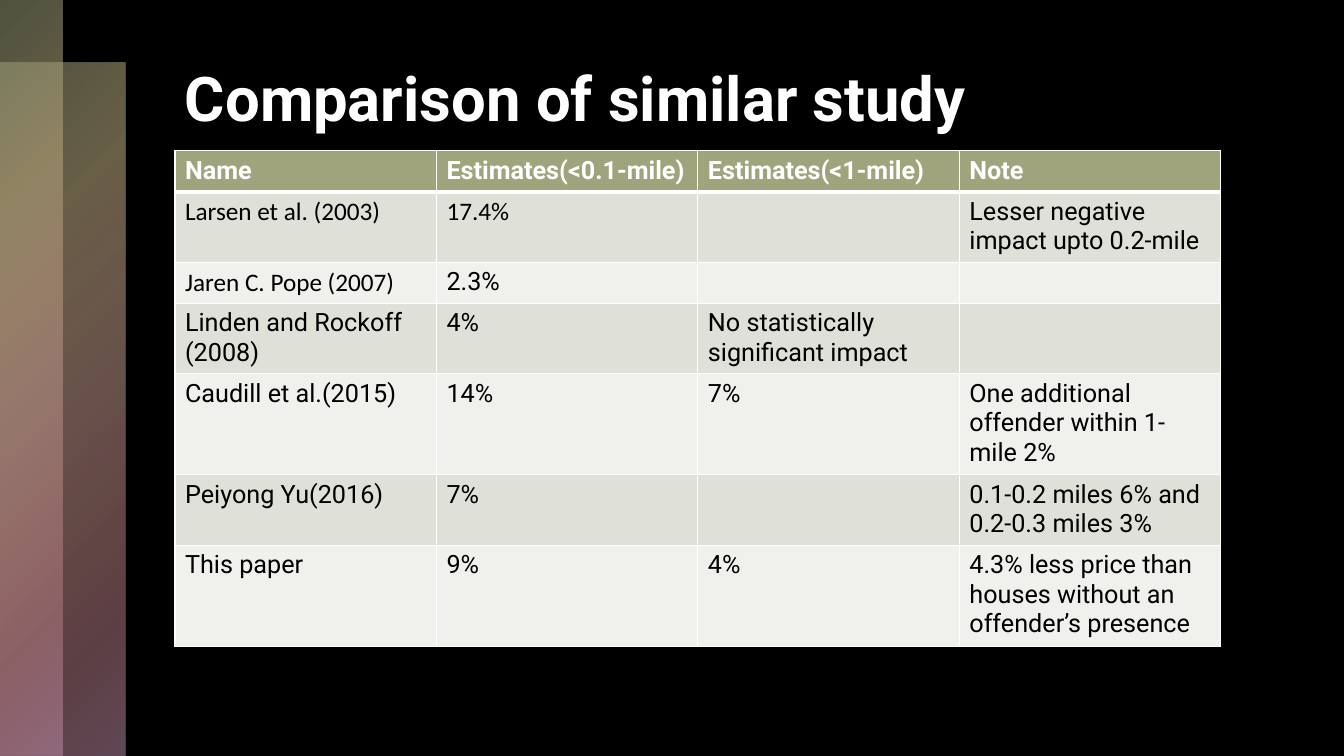
from lxml import etree
from pptx import Presentation
from pptx.dml.color import RGBColor
from pptx.enum.shapes import MSO_SHAPE
from pptx.enum.text import MSO_ANCHOR
from pptx.oxml.ns import qn
from pptx.util import Pt

RECTANGLE = MSO_SHAPE.RECTANGLE
TOP = MSO_ANCHOR.TOP

# Content
TITLE = "Comparison of similar study"
HEADER = ["Name", "Estimates(<0.1-mile)", "Estimates(<1-mile)", "Note"]
STUDIES = [
    ["Larsen et al. (2003)", "17.4%", "", "Lesser negative impact upto 0.2-mile"],
    ["Jaren C. Pope (2007)", "2.3%", "", ""],
    ["Linden and Rockoff (2008)", "4%", "No statistically significant impact", ""],
    ["Caudill et al.(2015)", "14%", "7%", "One additional offender within 1-mile 2%"],
    ["Peiyong Yu(2016)", "7%", "", "0.1-0.2 miles 6% and 0.2-0.3 miles 3%"],
    ["This paper", "9%", "4%",
     "4.3% less price than houses without an offender’s presence"],
]
CALIBRI_TEXTS = {"Larsen et al. (2003)", "17.4%", "Jaren C. Pope (2007)"}

THEME = {
    "background": "000000", "light": "FFFFFF", "dark": "000000",
    "header": "9FA47C", "bands": ["DFE0D7", "F0F0EC"],
    "font": "Roboto", "alternate_font": "Calibri",
    "title_size": 44, "table_size": 18,
    "thin_border": 1, "thick_border": 3,
    # Position, colour and opacity, all in percent
    "gradient": [(0, "9FA47C", 50), (25, "B09F78", 60), (50, "BE9687", 55),
                 (81, "BA7F87", 50), (99, "C391AD", 50)],
}

# Layout in points
PAGE_WIDTH, PAGE_HEIGHT = 960, 540
STRIP = 45
CONTENT_LEFT, TABLE_TOP = 125, 107.75
COLUMN_WIDTH, ROW_HEIGHT = 186.75, 29.25


def add_span(para, text, size, color, font, bold=False):
    span = para.add_run()
    span.text = text
    span.font.size = Pt(size)
    span.font.name = font
    span.font.bold = bold
    span.font.color.rgb = RGBColor.from_string(color)


def add_color(parent, color):
    fill = etree.SubElement(parent, qn("a:solidFill"))
    etree.SubElement(fill, qn("a:srgbClr"), val=color)


def add_gradient_strip(page, left, top, width, height):
    strip = page.shapes.add_shape(RECTANGLE, Pt(left), Pt(top), Pt(width), Pt(height))
    strip.shadow.inherit = False
    strip.line.fill.background()
    strip.fill.background()
    gradient = etree.Element(qn("a:gradFill"), rotWithShape="1")
    stops = etree.SubElement(gradient, qn("a:gsLst"))
    for position, color, opacity in THEME["gradient"]:
        stop = etree.SubElement(stops, qn("a:gs"), pos=str(position * 1000))
        tone = etree.SubElement(stop, qn("a:srgbClr"), val=color)
        etree.SubElement(tone, qn("a:alpha"), val=str(opacity * 1000))
    circle = etree.SubElement(gradient, qn("a:path"), path="circle")
    etree.SubElement(circle, qn("a:fillToRect"), r="100000", b="100000")
    properties = strip._element.spPr
    properties.replace(properties.find(qn("a:noFill")), gradient)


def set_borders(cell, top, bottom):
    properties = cell._tc.get_or_add_tcPr()
    thin = THEME["thin_border"]
    sides = [("a:lnL", thin), ("a:lnR", thin), ("a:lnT", top), ("a:lnB", bottom)]
    for index, (side, width) in enumerate(sides):
        border = etree.Element(qn(side), w=str(Pt(width)))
        add_color(border, THEME["light"])
        properties.insert(index, border)


def add_study_table(page):
    rows = [HEADER] + STUDIES
    frame = page.shapes.add_table(
        len(rows), len(HEADER), Pt(CONTENT_LEFT), Pt(TABLE_TOP),
        Pt(COLUMN_WIDTH * len(HEADER)), Pt(ROW_HEIGHT * len(rows)))
    table = frame.table
    for column in table.columns:
        column.width = Pt(COLUMN_WIDTH)
    for row_index, texts in enumerate(rows):
        table.rows[row_index].height = Pt(ROW_HEIGHT)
        is_header = row_index == 0
        band = THEME["header"] if is_header else THEME["bands"][(row_index - 1) % 2]
        top = THEME["thick_border" if row_index == 1 else "thin_border"]
        bottom = THEME["thick_border" if is_header else "thin_border"]
        for column_index, text in enumerate(texts):
            cell = table.cell(row_index, column_index)
            cell.fill.solid()
            cell.fill.fore_color.rgb = RGBColor.from_string(band)
            set_borders(cell, top, bottom)
            if text:
                font = "alternate_font" if text in CALIBRI_TEXTS else "font"
                add_span(cell.text_frame.paragraphs[0], text, THEME["table_size"],
                         THEME["light" if is_header else "dark"], THEME[font], is_header)


def add_title(page):
    box = page.shapes.add_textbox(Pt(CONTENT_LEFT), Pt(36), Pt(747), Pt(122))
    frame = box.text_frame
    frame.word_wrap = True
    frame.vertical_anchor = TOP
    frame.margin_top = Pt(6.5)
    add_span(frame.paragraphs[0], TITLE, THEME["title_size"],
             THEME["light"], THEME["font"], True)


def main():
    deck = Presentation()
    deck.slide_width, deck.slide_height = Pt(PAGE_WIDTH), Pt(PAGE_HEIGHT)
    page = deck.slides.add_slide(deck.slide_layouts[6])
    page.background.fill.solid()
    page.background.fill.fore_color.rgb = RGBColor.from_string(THEME["background"])

    # Overlapping side strips
    add_gradient_strip(page, 0, STRIP, 2 * STRIP, PAGE_HEIGHT - STRIP)
    add_gradient_strip(page, 0, 0, STRIP, PAGE_HEIGHT)

    # Title and table
    add_title(page)
    add_study_table(page)
    deck.save("out.pptx")


if __name__ == "__main__":
    main()
